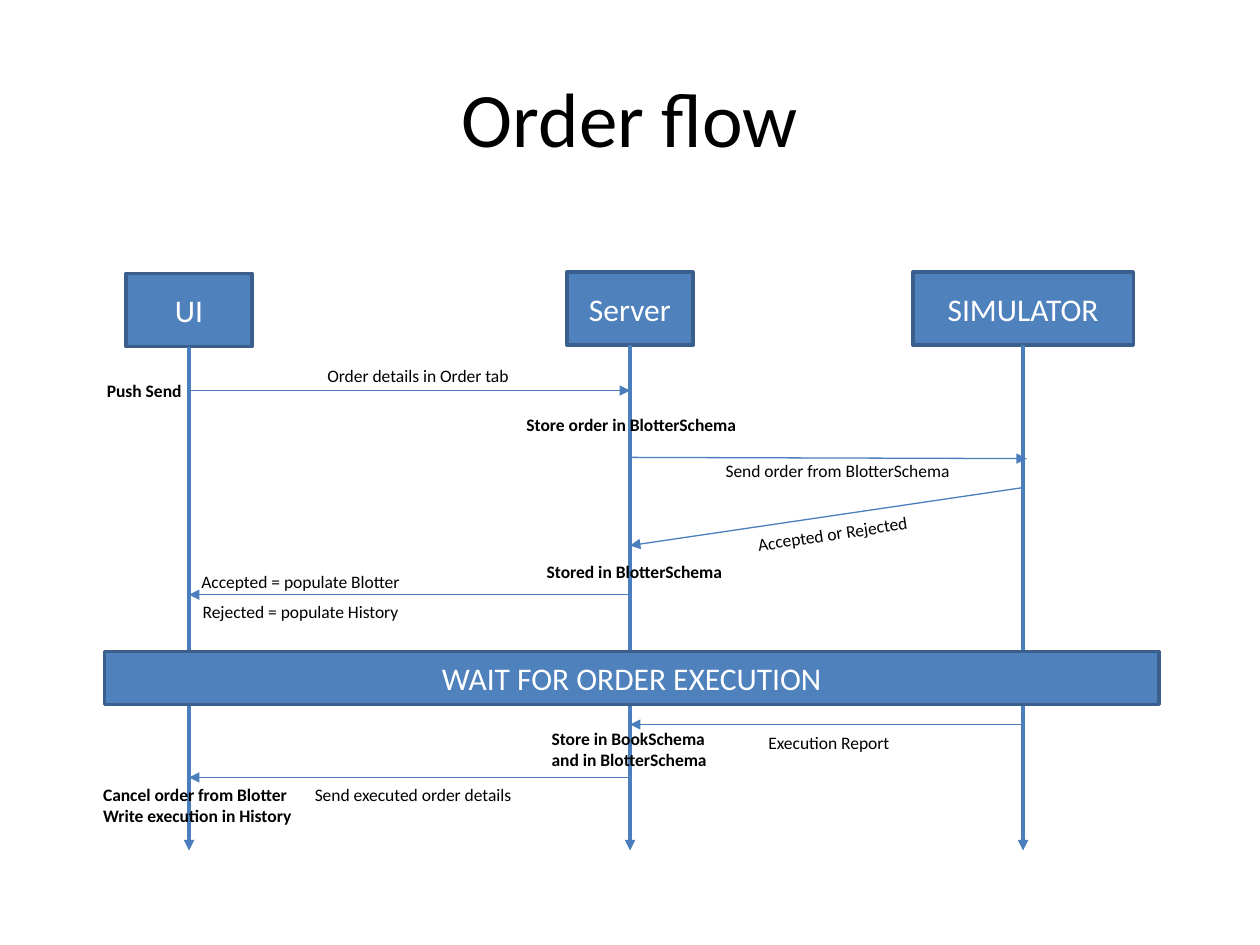
from dataclasses import dataclass

from lxml.etree import SubElement
from pptx import Presentation
from pptx.dml.color import RGBColor
from pptx.enum.shapes import MSO_CONNECTOR as Connector, MSO_SHAPE as Shape
from pptx.enum.text import MSO_ANCHOR as Anchor, MSO_AUTO_SIZE as AutoSize, PP_ALIGN as Align
from pptx.oxml.ns import qn
from pptx.util import Inches, Pt


@dataclass(frozen=True)
class Theme:
    font: str = "Calibri"
    fill: RGBColor = RGBColor(0x4F, 0x81, 0xBD)
    border: RGBColor = RGBColor(0x3A, 0x5F, 0x8C)
    arrow: RGBColor = RGBColor(0x4B, 0x7E, 0xBC)
    dark: RGBColor = RGBColor(0, 0, 0)
    light: RGBColor = RGBColor(255, 255, 255)
    title_size: float = 44
    box_size: float = 18
    label_size: float = 10
    heavy: float = 2
    thin: float = 0.75


THEME = Theme()

TITLE = ("Order flow", 0.5, 0.3, 9, 1.25)
UI, SERVER, SIMULATOR = 1.5, 5, 8.12
ACTORS = [
    ("UI", UI, 2.17, 1),
    ("Server", SERVER, 2.16, 1),
    ("SIMULATOR", SIMULATOR, 2.16, 1.75),
]
ACTOR_HEIGHT = 0.58
LIFELINE_END = 6.75
MESSAGES = [
    (UI, 3.1, SERVER, 3.1),
    (SERVER, 3.63, SIMULATOR + 0.03, 3.64),
    (SIMULATOR, 3.87, SERVER, 4.33),
    (SERVER, 4.72, UI, 4.72),
    (SIMULATOR, 5.75, SERVER, 5.75),
    (SERVER, 6.17, UI, 6.17),
]
MESSAGE_LABELS = [
    ("Order details in Order tab", 2.5, 2.85, 1.67, 0),
    ("Send order from BlotterSchema", 5.66, 3.6, 2.01, 0),
    ("Accepted or Rejected", 5.91, 4.1, 1.42, 351.5),
    ("Accepted = populate Blotter", 1.5, 4.48, 1.81, 0),
    ("Rejected = populate History", 1.51, 4.72, 1.78, 0),
    ("Execution Report", 6, 5.76, 1.18, 0),
    ("Send executed order details", 2.4, 6.17, 1.8, 0),
]
ACTION_LABELS = [
    ("Push Send", 0.75, 2.97, 0.8),
    ("Store order in BlotterSchema", 4.08, 3.24, 1.9),
    ("Stored in BlotterSchema", 4.24, 4.4, 1.62),
    ("Store in BookSchema\nand in BlotterSchema", 4.28, 5.73, 1.44),
    ("Cancel order from Blotter\nWrite execution in History", 0.72, 6.17, 1.73),
]
WAIT = ("WAIT FOR ORDER EXECUTION", 0.83, 5.17, 8.37, 0.42)


def write_text(shape, text, size, color, align, bold=False):
    shape.text_frame.text = text
    for paragraph in shape.text_frame.paragraphs:
        paragraph.alignment = align
        for run in paragraph.runs:
            run.font.name = THEME.font
            run.font.size = Pt(size)
            run.font.bold = bold
            run.font.color.rgb = color


def add_title(slide, text, *bounds):
    shape = slide.shapes.add_textbox(*map(Inches, bounds))
    shape.text_frame.word_wrap = True
    shape.text_frame.vertical_anchor = Anchor.MIDDLE
    write_text(shape, text, THEME.title_size, THEME.dark, Align.CENTER)


def add_box(slide, text, *bounds):
    shape = slide.shapes.add_shape(Shape.RECTANGLE, *map(Inches, bounds))
    shape.shadow.inherit = False
    shape.fill.solid()
    shape.fill.fore_color.rgb = THEME.fill
    shape.line.color.rgb = THEME.border
    shape.line.width = Pt(THEME.heavy)
    shape.text_frame.vertical_anchor = Anchor.MIDDLE
    write_text(shape, text, THEME.box_size, THEME.light, Align.CENTER)


def add_arrow(slide, points, width):
    connector = slide.shapes.add_connector(Connector.STRAIGHT, *map(Inches, points))
    connector.line.color.rgb = THEME.arrow
    connector.line.width = Pt(width)
    SubElement(connector.line._get_or_add_ln(), qn("a:tailEnd"), type="triangle")
    SubElement(connector._element.spPr, qn("a:effectLst"))


def add_label(slide, text, left, top, width, rotation=0, bold=False):
    height = 0.1 + 0.17 * len(text.split("\n"))
    shape = slide.shapes.add_textbox(*map(Inches, (left, top, width, height)))
    shape.rotation = rotation
    shape.text_frame.word_wrap = False
    shape.text_frame.auto_size = AutoSize.SHAPE_TO_FIT_TEXT
    write_text(shape, text, THEME.label_size, THEME.dark, Align.LEFT, bold)


def main():
    presentation = Presentation()
    presentation.slide_width = Inches(10)
    presentation.slide_height = Inches(7.5)
    slide = presentation.slides.add_slide(presentation.slide_layouts[6])

    add_title(slide, *TITLE)
    for name, center, top, width in ACTORS:
        add_box(slide, name, center - width / 2, top, width, ACTOR_HEIGHT)
        add_arrow(slide, (center, top + ACTOR_HEIGHT, center, LIFELINE_END), THEME.heavy)
    for points in MESSAGES:
        add_arrow(slide, points, THEME.thin)
    for label in MESSAGE_LABELS:
        add_label(slide, *label)
    for label in ACTION_LABELS:
        add_label(slide, *label, bold=True)
    add_box(slide, *WAIT)

    presentation.save("out.pptx")


if __name__ == "__main__":
    main()
